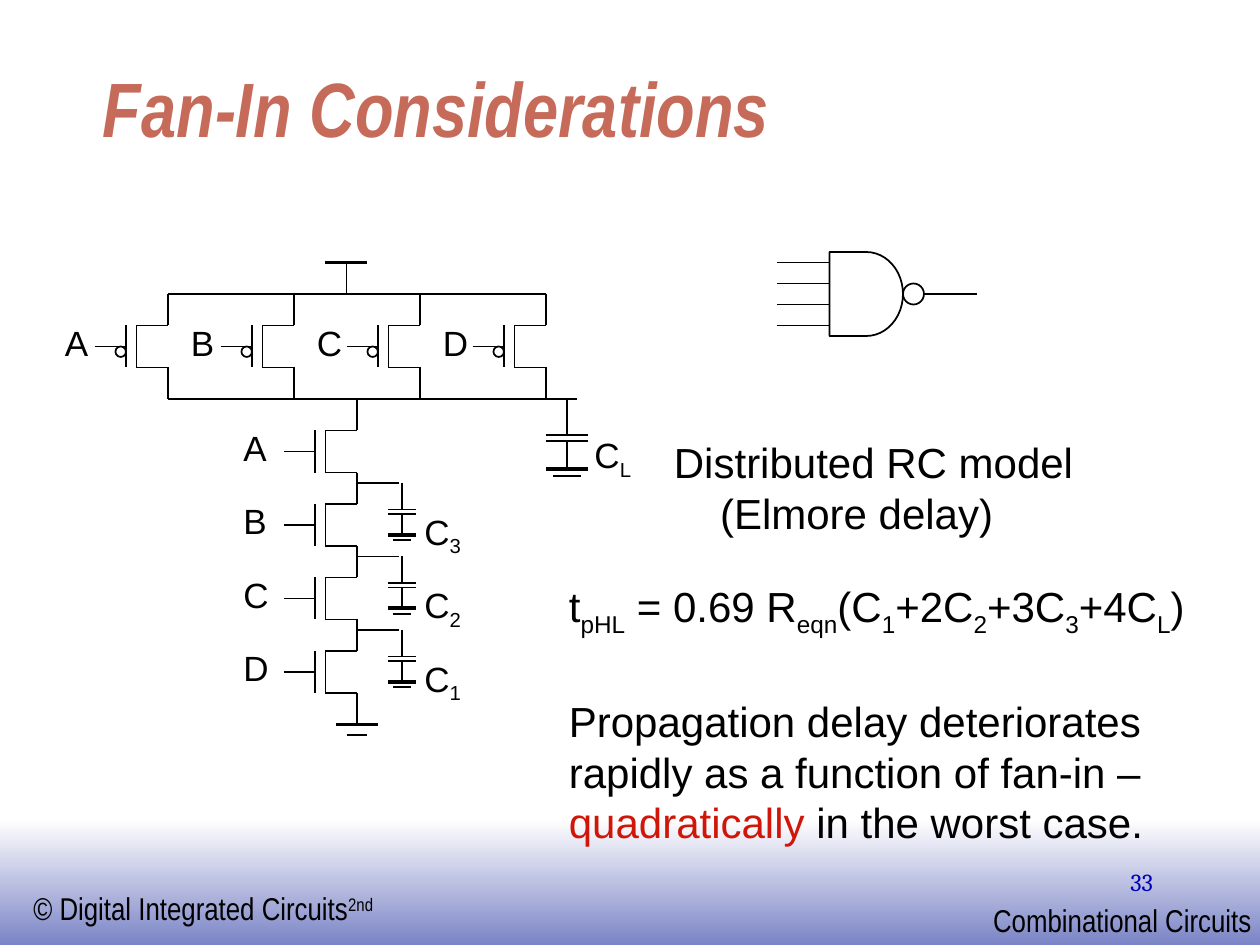
from lxml.etree import SubElement
from pptx import Presentation
from pptx.dml.color import RGBColor
from pptx.enum.shapes import MSO_CONNECTOR, MSO_SHAPE
from pptx.enum.text import MSO_ANCHOR, MSO_AUTO_SIZE, PP_ALIGN
from pptx.oxml.ns import qn
from pptx.util import Inches, Pt

BLACK = RGBColor(0, 0, 0)
WHITE = RGBColor(0xFF, 0xFF, 0xFF)
PERIWINKLE = RGBColor(0x7B, 0x84, 0xC6)
TERRACOTTA = RGBColor(0xC6, 0x6B, 0x5A)
RED = RGBColor(0xD0, 0x16, 0x08)
NAVY = RGBColor(0, 0, 0xB6)
COLS, ROWS = 120, 90
THIN, THICK = 1, 2.25
SUB, SUPER = -25000, 30000


def grid(n):
    """Convert grid units, twelve to the inch, to a length."""
    return Inches(n / 12)


def wire(shapes, *points, weight=THIN):
    """Join successive grid points with straight lines."""
    for (x1, y1), (x2, y2) in zip(points, points[1:]):
        line = shapes.add_connector(MSO_CONNECTOR.STRAIGHT,
                                    *map(grid, (x1, y1, x2, y2)))
        line.line.color.rgb = BLACK
        line.line.width = Pt(weight)
        SubElement(line._element.spPr, qn("a:effectLst"))


def bar(shapes, x, y, half, weight=THIN):
    """Draw a horizontal bar centred on a grid point."""
    wire(shapes, (x - half, y), (x + half, y), weight=weight)


def outline(shapes, kind, *box):
    """Draw an unfilled preset shape in a grid box."""
    sp = shapes.add_shape(kind, *map(grid, box))
    sp.shadow.inherit = False
    sp.fill.background()
    sp.line.color.rgb = BLACK
    sp.line.width = Pt(THIN)


def add_run(p, text, size, font="Arial", color=BLACK, baseline=0):
    """Append a formatted run, raised or lowered by its baseline."""
    r = p.add_run()
    r.text = text
    r.font.size, r.font.name = Pt(size), font
    r.font.color.rgb = color
    if baseline:
        r.font._element.set("baseline", str(baseline))


def text_box(shapes, *box, wrap=False):
    """Add a text box in a grid box and return its text frame."""
    tf = shapes.add_textbox(*map(grid, box)).text_frame
    tf.word_wrap = wrap
    return tf


def label(shapes, x, y, text, sub=""):
    """Write a node name with an optional subscript."""
    p = text_box(shapes, x, y, 6 if sub else 4.8, 5.2).paragraphs[0]
    add_run(p, text, 20)
    if sub:
        add_run(p, sub, 20, baseline=SUB)


def transistor(shapes, x, y):
    """Draw gate, channel and lower lead from the gate's top left."""
    wire(shapes, (x + 7, y), (x + 4, y), (x + 4, y + 4), (x + 7, y + 4),
         (x + 7, y + 7))
    wire(shapes, (x + 3, y), (x + 3, y + 4))
    wire(shapes, (x, y + 2), (x + 3, y + 2))


def pull_up(s, x, y, names, pitch=12):
    """Draw the parallel PMOS network with its supply and rails."""
    for i, name in enumerate(names):
        left = x + i * pitch
        shapes = s.shapes.add_group_shape().shapes
        transistor(shapes, left + 4, y + 3)
        wire(shapes, (left + 11, y), (left + 11, y + 3))
        outline(shapes, MSO_SHAPE.OVAL, left + 6, y + 5, 1, 1)
        label(shapes, left, y + 2, name)
    first, last = x + 11, x + 11 + pitch * (len(names) - 1)
    wire(s.shapes, (first, y), (last, y))
    wire(s.shapes, (first, y + 10), (last + 3, y + 10))
    supply = s.shapes.add_group_shape().shapes
    wire(supply, (x + 28, y - 3), (x + 28, y))
    bar(supply, x + 28, y - 3, 2, THICK)


def capacitor(s, x, y, sub, width=1, height=1):
    """Draw a grounded capacitor hanging from a grid point."""
    shapes = s.shapes.add_group_shape().shapes
    upper, lower, ground, tip = (y + d * height for d in (3.4, 4, 6.64, 7.36))
    wire(shapes, (x, y), (x, upper))
    wire(shapes, (x, lower), (x, ground))
    bar(shapes, x, upper, 2 * width)
    bar(shapes, x, lower, 2 * width)
    bar(shapes, x, ground, 2 * width, THICK)
    bar(shapes, x, tip, 1.33 * width)
    label(shapes, x + 1.44 * width, y + 2.68 * height, "C", sub)


def pull_down(s, x, y, names, pitch=7):
    """Draw the series NMOS stack with its node capacitors and ground."""
    drain = x + 12
    wire(s.shapes, (drain, y - 3), (drain, y))
    for i, name in enumerate(names):
        top = y + i * pitch
        transistor(s.shapes.add_group_shape().shapes, x + 5, top)
        label(s.shapes, x, top - 1, name)
        if i < len(names) - 1:
            wire(s.shapes, (drain, top + 5), (drain + 4, top + 5))
            capacitor(s, drain + 4.3, top + 5, str(len(names) - 1 - i),
                      width=0.65, height=0.74)
    bottom = y + pitch * len(names)
    ground = s.shapes.add_group_shape().shapes
    bar(ground, drain, bottom, 2, THICK)
    bar(ground, drain, bottom + 1, 1)


def nand_gate(s, x, y):
    """Draw the four-input NAND symbol."""
    outline(s.shapes, MSO_SHAPE.FLOWCHART_DELAY, x + 5, y, 7, 8)
    outline(s.shapes, MSO_SHAPE.OVAL, x + 12, y + 3, 2, 2)
    for row in range(1, 8, 2):
        wire(s.shapes, (x, y + row), (x + 5, y + row))
    wire(s.shapes, (x + 14, y + 4), (x + 19, y + 4))


def delay_notes(s, *box):
    """Write the delay model, its formula and the conclusion."""
    tf = text_box(s.shapes, *box, wrap=True)
    formula = ("t", "pHL", " = 0.69 R", "eqn", "(C", "1", "+2C", "2",
               "+3C", "3", "+4C", "L", ")")
    conclusion = "Propagation delay deteriorates rapidly as a function of fan-in – "
    paragraphs = (
        (10, 0, [("Distributed RC model", BLACK, 0)]),
        (14.4, 0, [("(Elmore delay)", BLACK, 0)]),
        (0, 28.8, [(part, BLACK, SUB * (i % 2)) for i, part in enumerate(formula)]),
        (0, 33, [(conclusion, BLACK, 0), ("quadratically", RED, 0),
                 (" in the worst case.", BLACK, 0)]),
    )
    for i, (indent, before, runs) in enumerate(paragraphs):
        p = tf.add_paragraph() if i else tf.paragraphs[0]
        p.line_spacing = Pt(28.8)
        if before:
            p.space_before = Pt(before)
        if indent:
            p._p.get_or_add_pPr().set("marL", str(grid(indent)))
        for text, color, baseline in runs:
            add_run(p, text, 24, color=color, baseline=baseline)


def footer(s, x, y, w, h):
    """Draw the gradient band with the course, chapter and page number."""
    band = s.shapes.add_shape(MSO_SHAPE.RECTANGLE, *map(grid, (x, y, w, h)))
    band.shadow.inherit = False
    band.line.fill.background()
    band.fill.gradient()
    band.fill.gradient_angle = 270
    for stop, position, color in zip(band.fill.gradient_stops, (0, 1),
                                     (WHITE, PERIWINKLE)):
        stop.position, stop.color.rgb = position, color
    p = text_box(s.shapes, x + 2, y + 6.1, 35.2, 4.8).paragraphs[0]
    add_run(p, "© Digital Integrated Circuits", 18, "Arial Narrow")
    add_run(p, "2nd", 18, "Arial Narrow", baseline=SUPER)
    p = text_box(s.shapes, x + 93.4, y + 7.2, 27, 4.8).paragraphs[0]
    add_run(p, "Combinational Circuits", 18, "Arial Narrow")
    p = text_box(s.shapes, x + 86, y + 4, 25, 6, wrap=True).paragraphs[0]
    p.alignment = PP_ALIGN.RIGHT
    add_run(p, "33", 14, "Cambria", NAVY)


def heading(s, *box):
    """Place and format the title placeholder."""
    title = s.shapes.title
    title.left, title.top, title.width, title.height = map(grid, box)
    tf = title.text_frame
    tf.text = "Fan-In Considerations"
    tf.auto_size = MSO_AUTO_SIZE.NONE
    tf.vertical_anchor = MSO_ANCHOR.BOTTOM
    p = tf.paragraphs[0]
    p.alignment = PP_ALIGN.LEFT
    font = p.runs[0].font
    font.name, font.size = "Arial Narrow", Pt(44)
    font.bold = font.italic = True
    font.color.rgb = TERRACOTTA


def main():
    """Build and save the slide."""
    prs = Presentation()
    prs.slide_width, prs.slide_height = grid(COLS), grid(ROWS)
    s = prs.slides.add_slide(prs.slide_layouts[5])
    footer(s, 0, ROWS - 12, COLS, 12)
    heading(s, 8.6, 5.8, 102, 9.4)
    pull_down(s, 22, 41, "ABCD")
    pull_up(s, 5, 28, "ABCD")
    capacitor(s, 54, 38, "L")
    delay_notes(s, 53, 41, 64, 39.6)
    nand_gate(s, 74, 24)
    prs.save("out.pptx")


if __name__ == "__main__":
    main()
